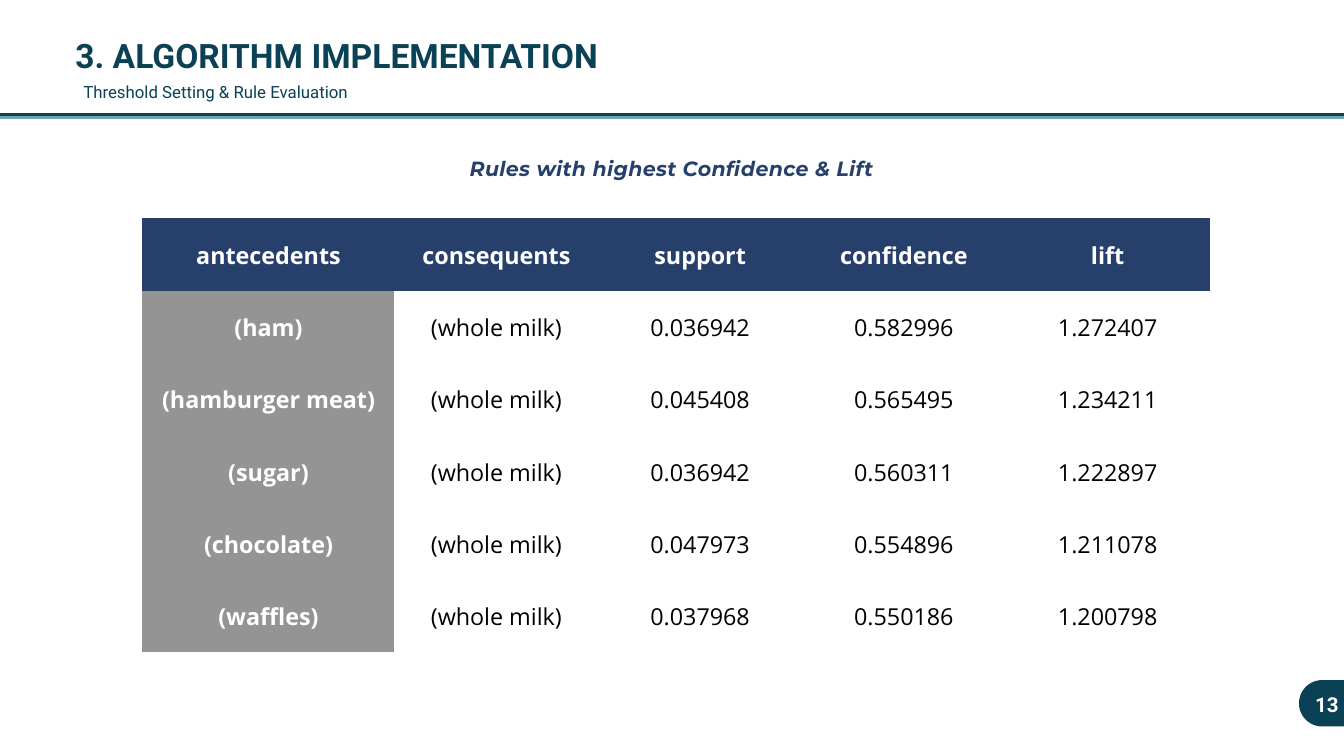
import pptx
import pptx.dml.color
import pptx.enum.shapes
import pptx.enum.text
import pptx.oxml
import pptx.oxml.ns
import pptx.util

Inches = pptx.util.Inches
Pt = pptx.util.Pt
ALIGN = pptx.enum.text.PP_ALIGN
ANCHOR = pptx.enum.text.MSO_ANCHOR

TEAL, MIST, NAVY = "0A4154", "72A4B1", "263F6B"
GREY, WHITE, BLACK = "949494", "FFFFFF", "000000"
PLAIN_GRID = "{2D5ABB26-0587-4C30-8999-92F81FD0307C}"

HEADS = ["antecedents", "consequents", "support", "confidence", "lift"]
RULES = [
    ["(ham)", "(whole milk)", "0.036942", "0.582996", "1.272407"],
    ["(hamburger meat)", "(whole milk)", "0.045408", "0.565495", "1.234211"],
    ["(sugar)", "(whole milk)", "0.036942", "0.560311", "1.222897"],
    ["(chocolate)", "(whole milk)", "0.047973", "0.554896", "1.211078"],
    ["(waffles)", "(whole milk)", "0.037968", "0.550186", "1.200798"],
]


def color(code):
    return pptx.dml.color.RGBColor.from_string(code)


def paint(fill, code):
    fill.solid()
    fill.fore_color.rgb = color(code)


def write(frame, text, font, size, code, lead, align=ALIGN.LEFT, bold=False):
    para = frame.paragraphs[0]
    para.alignment = align
    para.line_spacing = Pt(lead)
    run = para.add_run()
    run.text = text
    run.font.name = font
    run.font.size = Pt(size)
    run.font.bold = bold
    run.font.color.rgb = color(code)
    return run


def place(shape, left, top, width, height):
    shape.left, shape.top = Inches(left), Inches(top)
    shape.width, shape.height = Inches(width), Inches(height)


def clear(frame):
    frame.margin_left = frame.margin_right = 0
    frame.margin_top = frame.margin_bottom = 0
    frame.word_wrap = True
    frame.auto_size = pptx.enum.text.MSO_AUTO_SIZE.NONE
    frame.vertical_anchor = ANCHOR.TOP
    return frame


def add_box(slide, left, top, width, height):
    box = slide.shapes.add_textbox(
        Inches(left), Inches(top), Inches(width), Inches(height))
    return clear(box.text_frame)


def add_line(slide, left, top, width, code):
    line = slide.shapes.add_connector(
        pptx.enum.shapes.MSO_CONNECTOR.STRAIGHT,
        Inches(left), Inches(top), Inches(left + width), Inches(top))
    line.line.color.rgb = color(code)
    line.line.width = Pt(4)
    props = line._element.find(pptx.oxml.ns.qn("p:spPr"))
    pptx.oxml.ns.qn("a:effectLst")
    props.append(pptx.oxml.parse_xml(
        "<a:effectLst %s/>" % pptx.oxml.ns.nsdecls("a")))


def add_head(slide, left, top, width):
    title = slide.shapes.title
    place(title, left, top, width, 0.6)
    write(clear(title.text_frame), "3. ALGORITHM IMPLEMENTATION",
          "Roboto", 36, TEAL, 43.2, bold=True)
    note = add_box(slide, left + 0.12, top + 0.69, width, 0.3)
    write(note, "Threshold Setting & Rule Evaluation",
          "Roboto", 18, TEAL, 21.6)
    add_line(slide, left - 1.89, top + 1.19, 21.52, TEAL)
    add_line(slide, left - 1.82, top + 1.23, 21.52, MIST)


def add_label(slide, left, top, width, height):
    frame = add_box(slide, left, top, width, height)
    run = write(frame, "Rules with highest Confidence & Lift",
                "Montserrat", 22, NAVY, 28.6, ALIGN.CENTER, True)
    run.font.italic = True
    run._r.get_or_add_rPr().set("spc", "40")


def fill_cell(cell, text, back, ink, bold):
    paint(cell.fill, back)
    cell.vertical_anchor = ANCHOR.MIDDLE
    cell.margin_left = cell.margin_right = Inches(0.21)
    cell.margin_top = cell.margin_bottom = Inches(0.21)
    write(cell.text_frame, text, "Open Sans", 25, ink, 35,
          ALIGN.CENTER, bold)


def add_rules(slide, left, top, width, height):
    rows = [HEADS] + RULES
    table = slide.shapes.add_table(
        len(rows), len(HEADS), Inches(left), Inches(top),
        Inches(width), Inches(height)).table
    table.first_row = table.horz_banding = False
    style = table._tbl.tblPr.find(pptx.oxml.ns.qn("a:tableStyleId"))
    style.text = PLAIN_GRID
    first = 3.75
    rest = (width - first) / (len(HEADS) - 1)
    for c, column in enumerate(table.columns):
        column.width = Inches(rest if c else first)
    for r, row in enumerate(rows):
        table.rows[r].height = Inches(height / len(rows))
        for c, text in enumerate(row):
            back = NAVY if r == 0 else GREY if c == 0 else WHITE
            inner = back == WHITE
            fill_cell(table.cell(r, c), text, back,
                      BLACK if inner else WHITE, not inner)


def add_page(slide, left, top, width, height):
    pill = slide.shapes.add_shape(
        pptx.enum.shapes.MSO_SHAPE.ROUNDED_RECTANGLE,
        Inches(left), Inches(top), Inches(width), Inches(height))
    pill.adjustments[0] = 0.5
    pill.shadow.inherit = False
    paint(pill.fill, TEAL)
    pill.line.fill.background()
    frame = add_box(slide, left + 0.24, top + 0.11, 0.6, 0.42)
    write(frame, "13", "Roboto", 22, WHITE, 30.8, ALIGN.JUSTIFY, True)


def main():
    deck = pptx.Presentation()
    deck.slide_width, deck.slide_height = Inches(20), Inches(11.25)
    slide = deck.slides.add_slide(deck.slide_layouts[5])
    paint(slide.background.fill, WHITE)
    add_page(slide, 19.33, 10.12, 1.42, 0.69)
    add_head(slide, 1.12, 0.52, 15.44)
    add_label(slide, 6.6, 2.29, 6.79, 0.78)
    add_rules(slide, 2.12, 3.25, 15.88, 6.46)
    deck.save("out.pptx")


if __name__ == "__main__":
    main()
